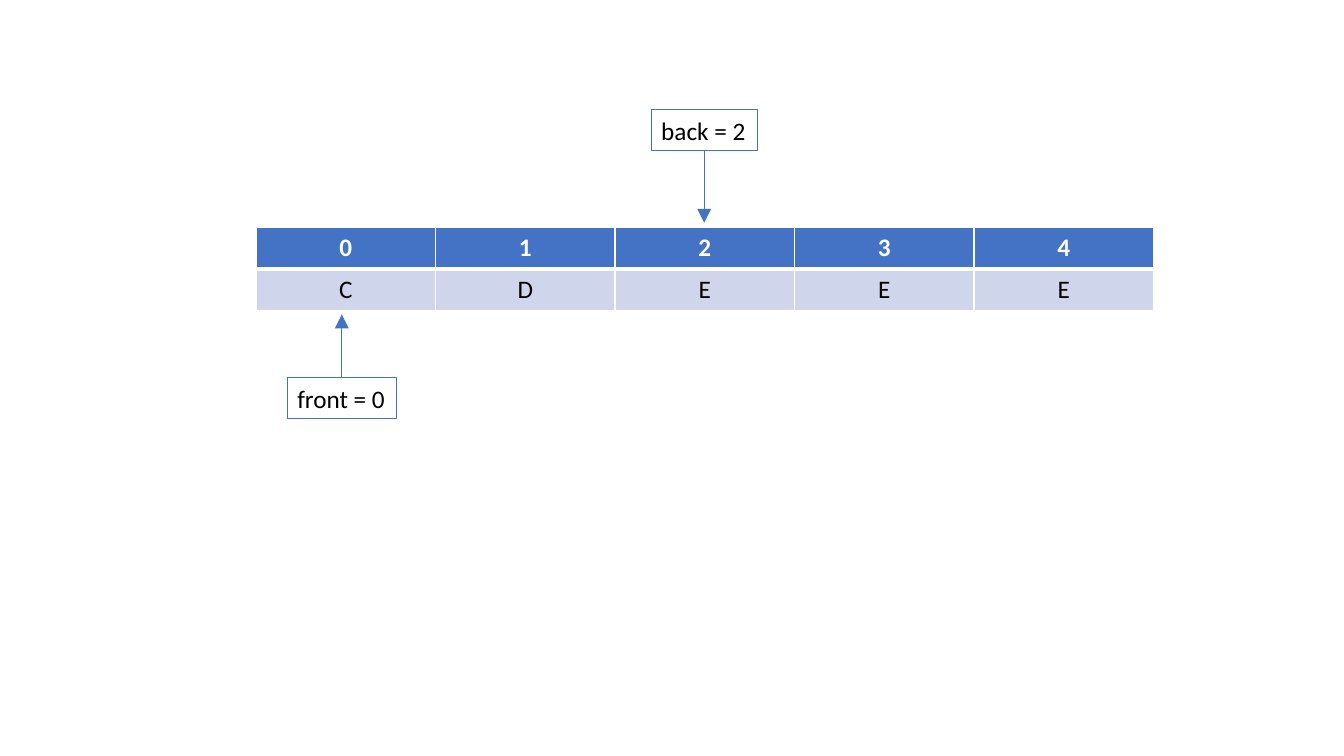
from pptx import Presentation, util as u
from pptx.dml.color import RGBColor
from pptx.enum import shapes, text
from pptx.oxml.ns import qn
from lxml import etree

HUES = {"blue": "4472C4", "pale": "CFD5EA", "white": "FFFFFF", "black": "000000"}
COL, ROW = 1.78, 0.41
LEFT, TOP = 2.54, 2.26
ROWS = [list("01234"), list("CDEEE")]


def hue(name):
    return RGBColor.from_string(HUES[name])


def write(frame, words, color="black", bold=False, align=text.PP_ALIGN.LEFT):
    para = frame.paragraphs[0]
    para.alignment = align
    run = para.add_run()
    run.text = words
    run.font.name, run.font.size, run.font.bold = "Calibri", u.Pt(18), bold
    run.font.color.rgb = hue(color)


def edge(cell, side, width):
    line = etree.SubElement(cell._tc.get_or_add_tcPr(), qn("a:ln" + side), w=str(u.Pt(width)))
    fill = etree.SubElement(line, qn("a:solidFill"))
    etree.SubElement(fill, qn("a:srgbClr"), val=HUES["white"])


def queue(slide, left, top, rows):
    size = len(rows[0])
    grid = slide.shapes.add_table(len(rows), size, u.Inches(left), u.Inches(top),
                                  u.Inches(COL * size), u.Inches(ROW * len(rows))).table
    for col in grid.columns:
        col.width = u.Inches(COL)
    for r, row in enumerate(rows):
        head = r == 0
        for c, words in enumerate(row):
            cell = grid.cell(r, c)
            for side in "LRTB":
                thick = side == ("B" if head else "T")
                edge(cell, side, 3 if thick else 1)
            cell.fill.solid()
            cell.fill.fore_color.rgb = hue("blue" if head else "pale")
            write(cell.text_frame, words, color="white" if head else "black",
                  bold=head, align=text.PP_ALIGN.CENTER)


def label(slide, words, left, top, width, tip):
    height = 0.4
    box = slide.shapes.add_textbox(*map(u.Inches, (left, top, width, height)))
    box.line.color.rgb = hue("blue")
    box.line.width = u.Pt(0.75)
    frame = box.text_frame
    frame.word_wrap = False
    frame.auto_size = text.MSO_AUTO_SIZE.SHAPE_TO_FIT_TEXT
    write(frame, words)
    mid = u.Inches(left + width / 2)
    start = top if tip < top else top + height
    arrow = slide.shapes.add_connector(shapes.MSO_CONNECTOR.STRAIGHT,
                                       mid, u.Inches(start), mid, u.Inches(tip))
    arrow.line.color.rgb = hue("blue")
    arrow.line.width = u.Pt(0.5)
    etree.SubElement(arrow.line._get_or_add_ln(), qn("a:tailEnd"),
                     type="triangle", w="lg", len="lg")
    etree.SubElement(arrow._element.spPr, qn("a:effectLst"))


def main():
    deck = Presentation()
    deck.slide_width, deck.slide_height = u.Inches(13.33), u.Inches(7.5)
    slide = deck.slides.add_slide(deck.slide_layouts[6])
    queue(slide, LEFT, TOP, ROWS)
    label(slide, "front = 0", 2.85, 3.75, 1.08, TOP + 2 * ROW + 0.04)
    label(slide, "back = 2", 6.46, 1.09, 1.05, TOP - 0.05)
    deck.save("out.pptx")


if __name__ == "__main__":
    main()
